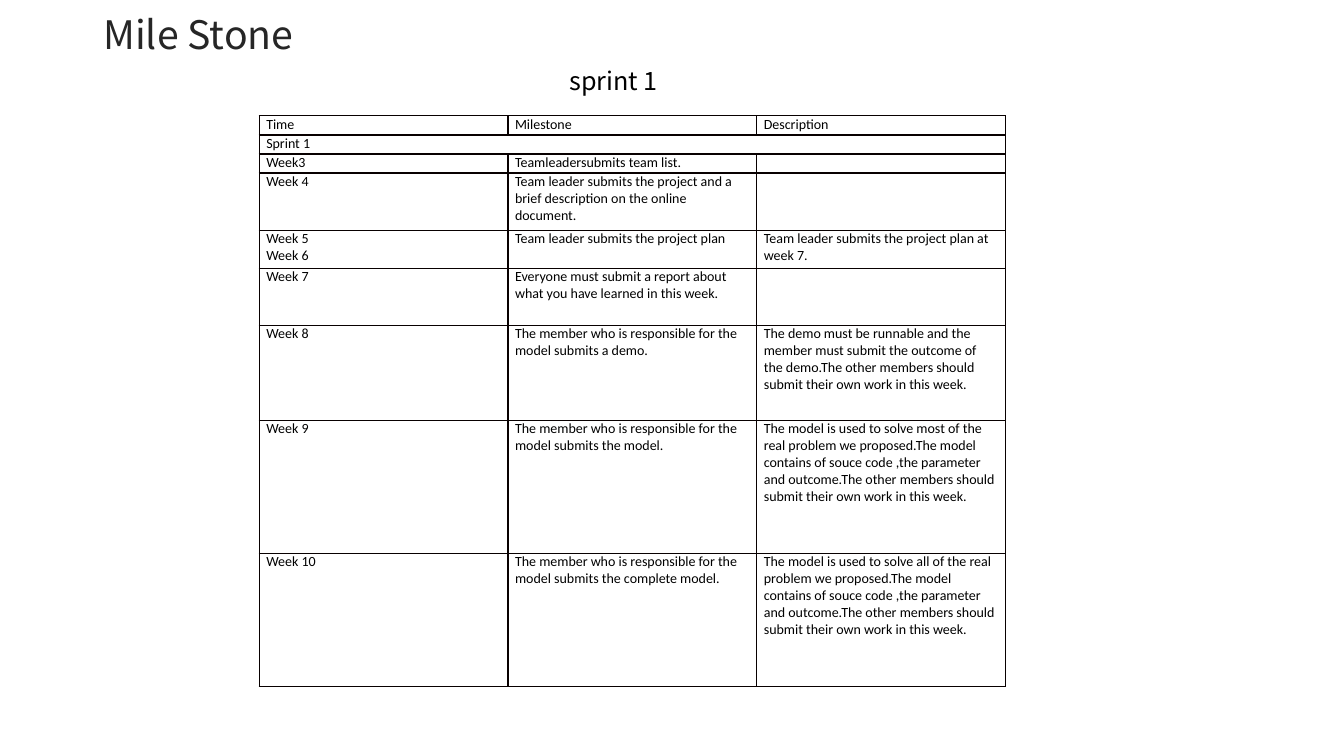
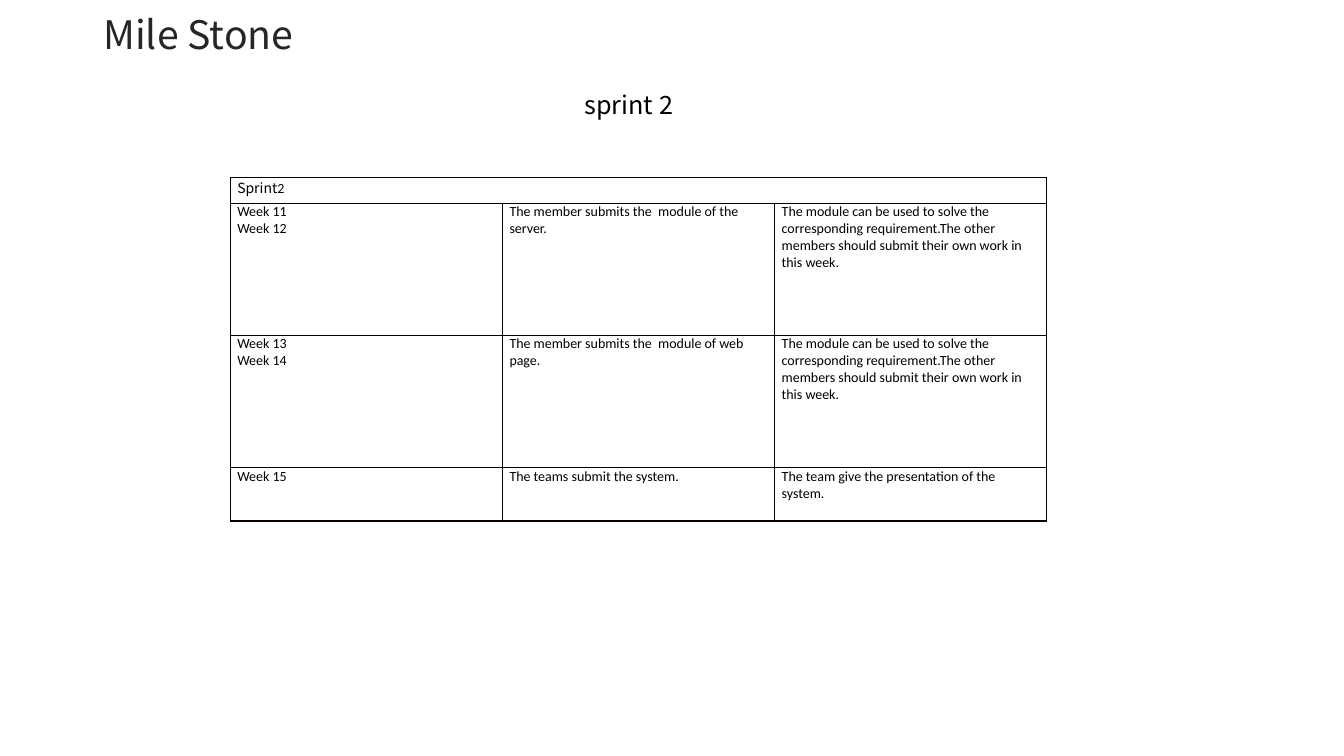
from dataclasses import dataclass

from lxml import etree
from pptx import Presentation
from pptx.dml.color import RGBColor
from pptx.enum import text
from pptx.oxml import ns
from pptx.slide import Slide
from pptx.table import Table, _Cell
from pptx.util import Cm, Pt

COLORS = {"title": "262626", "text": "000000", "border": "080000"}
HEADING_FONT = "Noto Sans CJK SC"
BODY_FONT = "Calibri"
BODY_SIZE = 10
BORDER_PT = 1
COLUMNS = 3


@dataclass(frozen=True)
class Row:
    """A table row; a single text spans every column."""
    height: float
    texts: tuple[str, ...]


@dataclass(frozen=True)
class Sprint:
    heading: str
    heading_left: float
    heading_top: float
    table_left: float
    table_top: float
    column_width: float
    rows: tuple[Row, ...]


OWN_WORK = "The other members should submit their own work in this week."
MODEL_PARTS = "The model contains of souce code ,the parameter and outcome." + OWN_WORK
MODULE_USE = "The module can be used to solve the corresponding requirement." + OWN_WORK
RESPONSIBLE = "The member who is responsible for the model submits "

SPRINTS = (
    Sprint("sprint 1", 14.35, 1.65, 6.53, 2.92, 6.27, (
        Row(0.48, ("Time", "Milestone", "Description")),
        Row(0.48, ("Sprint 1",)),
        Row(0.48, ("Week3", "Teamleadersubmits team list.", "")),
        Row(1.44, ("Week 4", "Team leader submits the project and a brief "
                   "description on the online document.", "")),
        Row(0.96, ("Week 5\nWeek 6", "Team leader submits the project plan",
                   "Team leader submits the project plan at week 7.")),
        Row(1.44, ("Week 7", "Everyone must submit a report about what you "
                   "have learned in this week.", "")),
        Row(2.4, ("Week 8", RESPONSIBLE + "a demo.",
                  "The demo must be runnable and the member must submit "
                  "the outcome of the demo." + OWN_WORK)),
        Row(3.35, ("Week 9", RESPONSIBLE + "the model.",
                   "The model is used to solve most of the real problem "
                   "we proposed." + MODEL_PARTS)),
        Row(3.35, ("Week 10", RESPONSIBLE + "the complete model.",
                   "The model is used to solve all of the real problem "
                   "we proposed." + MODEL_PARTS)),
    )),
    Sprint("sprint 2", 14.73, 2.26, 5.8, 4.47, 6.86, (
        Row(0.66, ("Sprint",)),
        Row(3.33, ("Week 11\nWeek 12",
                   "The member submits the  module of the server.", MODULE_USE)),
        Row(3.33, ("Week 13\nWeek 14",
                   "The member submits the  module of web page.", MODULE_USE)),
        Row(1.34, ("Week 15", "The teams submit the system.",
                   "The team give the presentation of the system.")),
    )),
)


def style_run(r, size: float, font: str, color: str) -> None:
    r.font.size = Pt(size)
    r.font.name = font
    r.font.color.rgb = RGBColor.from_string(COLORS[color])


def add_heading(s: Slide, words: str, box: tuple[float, float, float, float],
                size: float, color: str, align: text.PP_ALIGN) -> None:
    tf = s.shapes.add_textbox(*map(Cm, box)).text_frame
    tf.word_wrap = True
    tf.margin_left = tf.margin_top = tf.margin_right = tf.margin_bottom = 0
    tf.text = words
    p = tf.paragraphs[0]
    p.alignment = align
    style_run(p.runs[0], size, HEADING_FONT, color)


def add_borders(cell: _Cell) -> None:
    props = cell._tc.get_or_add_tcPr()
    for side in ("lnL", "lnR", "lnT", "lnB"):
        line = etree.SubElement(props, ns.qn(f"a:{side}"), w=str(Pt(BORDER_PT)))
        fill = etree.SubElement(line, ns.qn("a:solidFill"))
        etree.SubElement(fill, ns.qn("a:srgbClr"), val=COLORS["border"])


def fill_cell(cell: _Cell, words: str) -> None:
    cell.margin_left = cell.margin_right = Cm(0.18)
    cell.margin_top = cell.margin_bottom = 0
    add_borders(cell)
    cell.fill.background()
    cell.text_frame.text = words
    for p in cell.text_frame.paragraphs:
        for r in p.runs:
            style_run(r, BODY_SIZE, BODY_FONT, "text")
        if not p.runs:  # keeps empty cells from stretching their row
            etree.SubElement(p._p, ns.qn("a:endParaRPr"), sz=str(BODY_SIZE * 100))


def add_schedule(s: Slide, sprint: Sprint) -> Table:
    rows = sprint.rows
    table = s.shapes.add_table(
        len(rows), COLUMNS, Cm(sprint.table_left), Cm(sprint.table_top),
        Cm(sprint.column_width * COLUMNS), Cm(sum(row.height for row in rows))).table
    table.first_row = table.horz_banding = False
    for column in table.columns:
        column.width = Cm(sprint.column_width)
    for i, row in enumerate(rows):
        table.rows[i].height = Cm(row.height)
        for j in range(COLUMNS):
            fill_cell(table.cell(i, j), row.texts[j] if j < len(row.texts) else "")
        if len(row.texts) == 1:
            table.cell(i, 0).merge(table.cell(i, COLUMNS - 1))
    return table


def add_sprint_slide(prs, sprint: Sprint) -> Table:
    s = prs.slides.add_slide(prs.slide_layouts[6])
    add_heading(s, "Mile Stone", (0, 0.25, 10, 1.45), 28, "title", text.PP_ALIGN.CENTER)
    table = add_schedule(s, sprint)
    add_heading(s, sprint.heading, (sprint.heading_left, sprint.heading_top, 5.5, 0.9),
                18, "text", text.PP_ALIGN.LEFT)
    return table


def main() -> None:
    prs = Presentation()
    prs.slide_width, prs.slide_height = Cm(33.87), Cm(19.05)
    tables = [add_sprint_slide(prs, sprint) for sprint in SPRINTS]

    # The second table's section name mixes the two fonts.
    p = tables[1].cell(0, 0).text_frame.paragraphs[0]
    p.runs[0].font.name = HEADING_FONT
    number = p.add_run()
    number.text = "2"
    style_run(number, BODY_SIZE, BODY_FONT, "text")
    prs.save("out.pptx")


if __name__ == "__main__":
    main()
